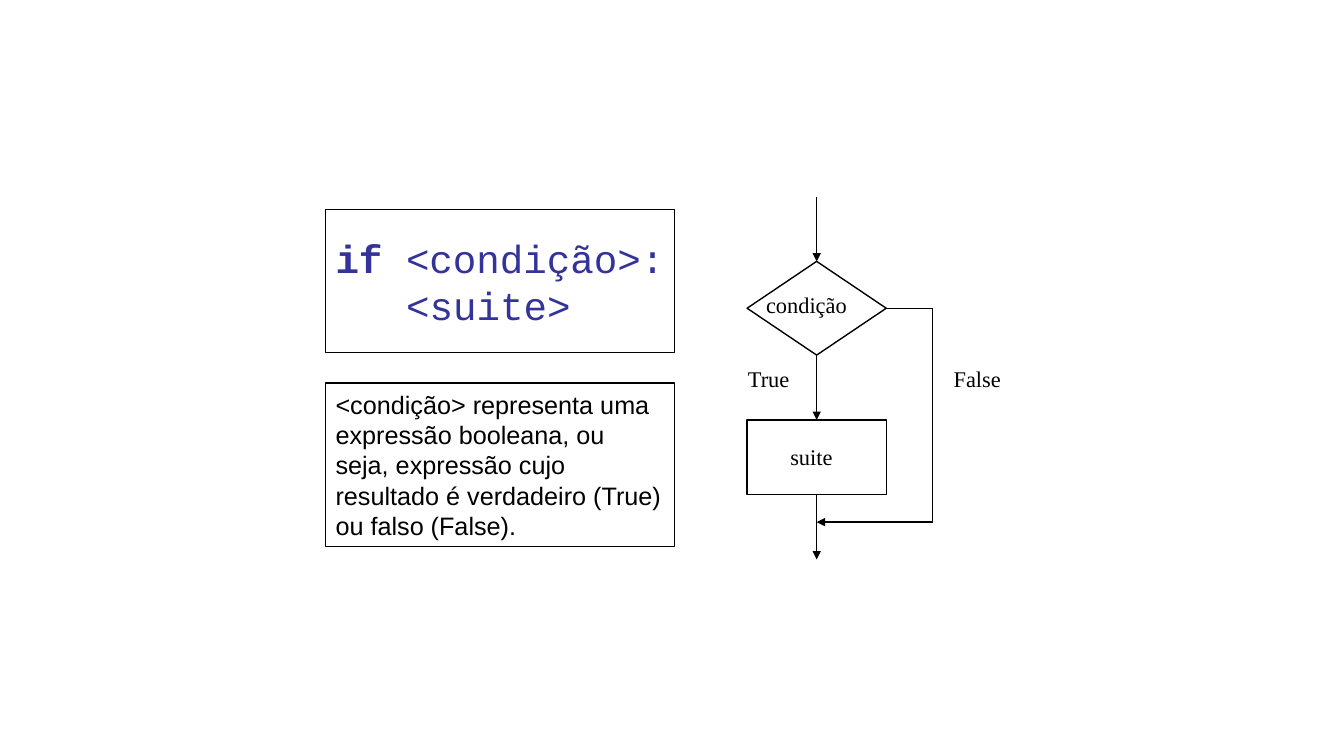
from dataclasses import dataclass

from lxml.etree import SubElement
from pptx import Presentation
from pptx.dml.color import RGBColor
from pptx.enum.shapes import MSO_CONNECTOR, MSO_SHAPE
from pptx.enum.text import MSO_ANCHOR, PP_ALIGN
from pptx.oxml.ns import qn
from pptx.util import Inches, Pt

COLORS = {"ink": "000000", "code": "333399"}
CELL = 0.1
TOP, LEFT, BOTTOM, RIGHT = range(4)


@dataclass
class Box:
    """A rectangle measured in grid cells of a tenth of an inch."""
    left: float
    top: float
    width: float
    height: float

    def place(self):
        """Return the rectangle as slide lengths."""
        return [cells(n) for n in (self.left, self.top, self.width, self.height)]


def cells(count):
    """Turn a number of grid cells into a slide length."""
    return Inches(count * CELL)


def color(name):
    """Look up a colour by its role."""
    return RGBColor.from_string(COLORS[name])


def set_font(paragraph, name, size, role="ink"):
    """Set the font of a left-aligned paragraph."""
    paragraph.alignment = PP_ALIGN.LEFT
    paragraph.font.name = name
    paragraph.font.size = Pt(size)
    paragraph.font.color.rgb = color(role)


def add_outline(page, kind, box):
    """Add an unfilled shape with a thin black outline."""
    shape = page.shapes.add_shape(kind, *box.place())
    shape.shadow.inherit = False
    shape.fill.background()
    shape.line.color.rgb = color("ink")
    shape.line.width = Pt(1)
    shape.text_frame.vertical_anchor = MSO_ANCHOR.MIDDLE
    return shape


def add_label(page, text, box):
    """Add a flowchart label."""
    frame = page.shapes.add_textbox(*box.place()).text_frame
    frame.word_wrap = True
    frame.text = text
    set_font(frame.paragraphs[0], "Times New Roman", 16)


def add_line(page, start, end, arrow=True, source=None, target=None):
    """Add a straight line, joined to a (shape, side) at either end if given."""
    points = [cells(n) for n in (*start, *end)]
    line = page.shapes.add_connector(MSO_CONNECTOR.STRAIGHT, *points)
    if source:
        line.begin_connect(*source)
    if target:
        line.end_connect(*target)
    line.line.color.rgb = color("ink")
    line.line.width = Pt(1)
    properties = line._element.spPr
    if arrow:
        SubElement(properties.find(qn("a:ln")), qn("a:tailEnd"), type="triangle")
    SubElement(properties, qn("a:effectLst"))


def add_syntax(page, box):
    """Add the framed syntax of the if statement."""
    frame = add_outline(page, MSO_SHAPE.RECTANGLE, box).text_frame
    frame.word_wrap = False
    header, body = frame.paragraphs[0], frame.add_paragraph()
    keyword = header.add_run()
    keyword.text = "if "
    keyword.font.bold = True
    header.add_run().text = "<condição>:"
    body.text = "<suite>"
    body._p.get_or_add_pPr().set("marL", str(cells(7)))
    for paragraph in (header, body):
        set_font(paragraph, "Courier New", 28, "code")


def add_explanation(page, box):
    """Add the framed explanation of the condition."""
    frame = add_outline(page, MSO_SHAPE.RECTANGLE, box).text_frame
    frame.word_wrap = True
    frame.text = ("<condição> representa uma expressão booleana, ou seja, expressão "
                  "cujo resultado é verdadeiro (True) ou falso (False).")
    set_font(frame.paragraphs[0], "Arial", 18)


def add_flowchart(page, box):
    """Add the flowchart, whose steps stand on one axis with equal arrows."""
    step_width, decision_height, suite_height = 13.8, 9.3, 7.4
    arrow = (box.height - decision_height - suite_height) / 3
    axis = box.left + 7.8
    bypass = axis + 11.5
    merge = box.top + 32.3
    decision_top = box.top + arrow
    decision_middle = decision_top + decision_height / 2
    decision_bottom = decision_top + decision_height
    suite_top = decision_bottom + arrow
    suite_bottom = suite_top + suite_height
    step_left = axis - step_width / 2

    decision = add_outline(page, MSO_SHAPE.FLOWCHART_DECISION,
                           Box(step_left, decision_top, step_width, decision_height))
    suite = add_outline(page, MSO_SHAPE.FLOWCHART_PROCESS,
                        Box(step_left, suite_top, step_width, suite_height))

    add_line(page, (axis, box.top), (axis, decision_top), target=(decision, TOP))
    add_line(page, (axis, decision_bottom), (axis, suite_top),
             source=(decision, BOTTOM), target=(suite, TOP))
    add_line(page, (axis, suite_bottom), (axis, box.top + box.height),
             source=(suite, BOTTOM))
    add_line(page, (step_left + step_width, decision_middle), (bypass, decision_middle),
             arrow=False, source=(decision, RIGHT))
    add_line(page, (bypass, decision_middle), (bypass, merge), arrow=False)
    add_line(page, (bypass, merge), (axis, merge))

    for text, column, row, width in (
        ("condição", 1.8, 8.9, 12.1),
        ("suite", 4.2, 24, 7.3),
        ("True", 0, 16.2, 6.8),
        ("False", 20.4, 16.2, 7.5),
    ):
        add_label(page, text, Box(box.left + column, box.top + row, width, 3.7))


def main():
    """Build the slide and save it."""
    deck = Presentation()
    deck.slide_width, deck.slide_height = Inches(13.33), Inches(7.5)
    page = deck.slides.add_slide(deck.slide_layouts[6])
    add_syntax(page, Box(32.3, 20.8, 34.6, 14.2))
    add_explanation(page, Box(32.3, 38, 34.6, 16.2))
    add_flowchart(page, Box(73.2, 19.5, 27.9, 36))
    deck.save("out.pptx")


if __name__ == "__main__":
    main()
